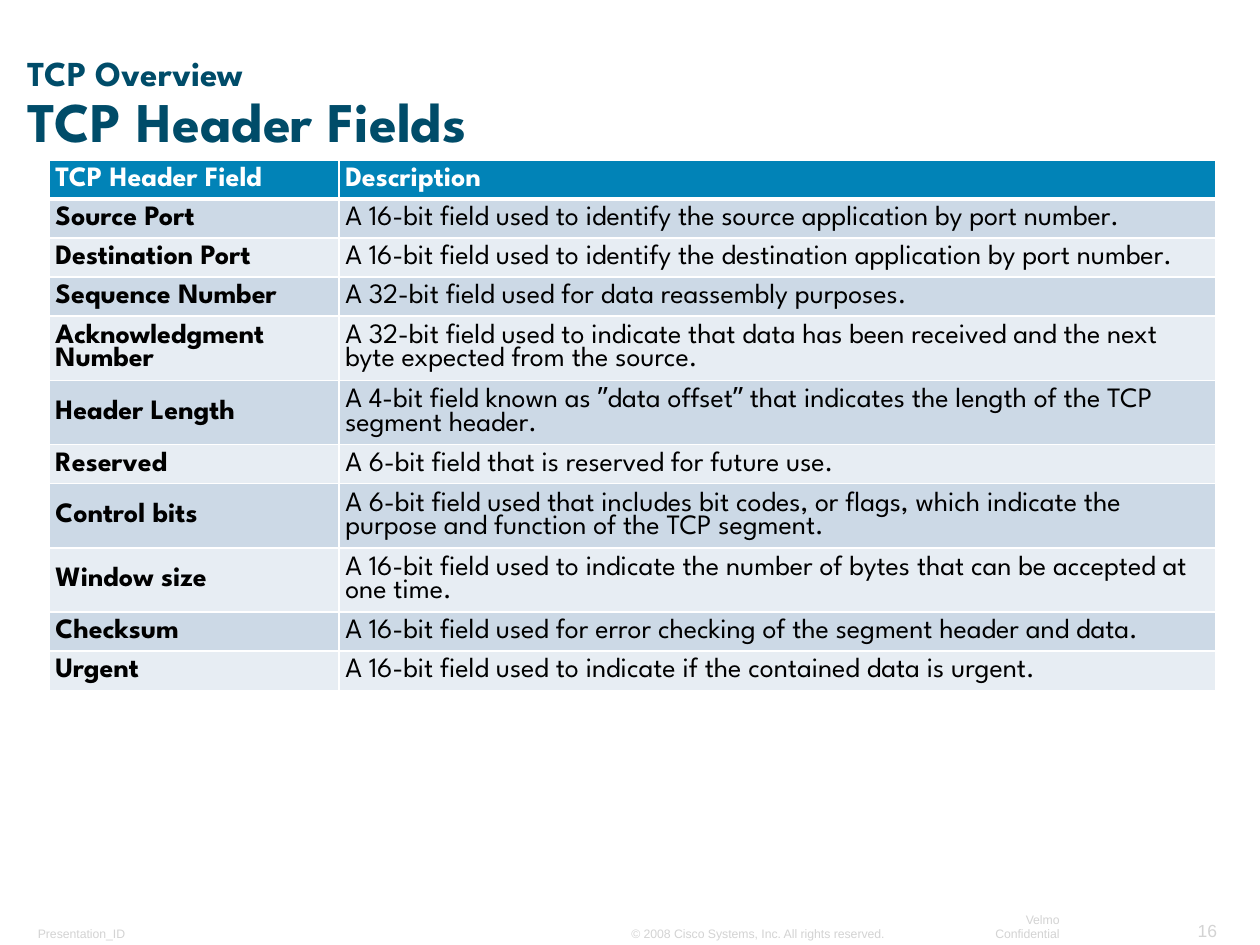
"""Build a slide with a title, a table of TCP header fields and a footer."""
from lxml.etree import SubElement
from pptx import Presentation
from pptx.dml.color import RGBColor
from pptx.enum.text import MSO_ANCHOR, MSO_AUTO_SIZE, PP_ALIGN
from pptx.oxml.ns import qn
from pptx.util import Inches, Pt

FONT = "League Spartan"
LEFT, RIGHT = PP_ALIGN.LEFT, PP_ALIGN.RIGHT


def paint(code):
    return RGBColor.from_string(code)


def write(para, text, size=16, color="000000", bold=False, font=FONT, align=LEFT, space=0.9):
    para.alignment = align
    para.line_spacing = space
    run = para.add_run()
    run.text = text
    run.font.name = font
    run.font.size = Pt(size)
    run.font.bold = bold
    run.font.color.rgb = paint(color)


deck = Presentation()
deck.slide_width, deck.slide_height = Inches(10), Inches(7.5)
unit = deck.slide_width // 100
slide = deck.slides.add_slide(deck.slide_layouts[5])

title = slide.shapes.title
title.left, title.top, title.width, title.height = [int(n * unit) for n in (1.3, 4.7, 91.3, 8)]
frame = title.text_frame
frame.word_wrap = True
frame.auto_size = MSO_AUTO_SIZE.NONE
frame.vertical_anchor = MSO_ANCHOR.BOTTOM
frame.margin_left = frame.margin_right = int(0.9 * unit)
frame.margin_top = frame.margin_bottom = int(0.4 * unit)
head = frame.paragraphs[0]
write(head, "TCP Overview", size=20, color="004C69", bold=True)
head.add_line_break()
write(head, "TCP Header Fields", size=32, color="004C69", bold=True)

rows = [
    ("TCP Header Field", "Description", 1),
    ("Source Port", "A 16-bit field used to identify the source application by port number.", 1),
    ("Destination Port", "A 16-bit field used to identify the destination application by port number.", 1),
    ("Sequence Number", "A 32-bit field used for data reassembly purposes.", 1),
    ("Acknowledgment Number", "A 32-bit field used to indicate that data has been received "
     "and the next byte expected from the source.", 2),
    ("Header Length", "A 4-bit field known as ʺdata offsetʺ that indicates the length "
     "of the TCP segment header.", 2),
    ("Reserved", "A 6-bit field that is reserved for future use.", 1),
    ("Control bits", "A 6-bit field used that includes bit codes, or flags, which indicate "
     "the purpose and function of the TCP segment.", 2),
    ("Window size", "A 16-bit field used to indicate the number of bytes that can be "
     "accepted at one time.", 2),
    ("Checksum", "A 16-bit field used for error checking of the segment header and data.", 1),
    ("Urgent", "A 16-bit field used to indicate if the contained data is urgent.", 1),
]
place = [int(n * unit) for n in (3.9, 12.7, 92.6, 42)]
table = slide.shapes.add_table(len(rows), 2, *place).table
table.horz_banding = False
for col, width in zip(table.columns, (23, 69.6)):
    col.width = int(width * unit)

for i, (name, note, lines) in enumerate(rows):
    table.rows[i].height = int((1.1 + 2 * lines) * unit)
    fill = "0183B7" if i == 0 else ("E7EDF3", "CCD9E6")[i % 2]
    for j, text in enumerate((name, note)):
        cell = table.cell(i, j)
        cell.vertical_anchor = MSO_ANCHOR.MIDDLE
        cell.margin_left = cell.margin_right = unit // 2
        cell.margin_top = cell.margin_bottom = unit // 2
        write(cell.text_frame.paragraphs[0], text, bold=i == 0 or j == 0,
              color="000000" if i else "FFFFFF")
        props = cell._tc.get_or_add_tcPr()
        for side in "LRTB":
            thick = 3 if (i, side) in ((0, "B"), (1, "T")) else 1
            line = SubElement(props, qn("a:ln" + side), w=str(Pt(thick)))
            SubElement(SubElement(line, qn("a:solidFill")), qn("a:srgbClr"), val="FFFFFF")
        cell.fill.solid()
        cell.fill.fore_color.rgb = paint(fill)

foot = [
    ("Presentation_ID", 2.1, 73, 10.5, 2.1, 7, LEFT, True),
    ("16", 94, 72.5, 3.5, 2.6, 10, RIGHT, False),
    ("© 2008 Cisco Systems, Inc. All rights reserved.", 49.2, 73, 22.1, 2.1, 7, LEFT, False),
    ("Velmo Confidential", 75.4, 73, 9.6, 2.1, 7, RIGHT, False),
]
for text, *place, size, align, wrap in foot:
    frame = slide.shapes.add_textbox(*[int(n * unit) for n in place]).text_frame
    frame.word_wrap = wrap
    frame.auto_size = MSO_AUTO_SIZE.SHAPE_TO_FIT_TEXT
    frame.vertical_anchor = MSO_ANCHOR.BOTTOM
    frame.margin_left = frame.margin_right = int(0.9 * unit)
    frame.margin_top = frame.margin_bottom = int(0.4 * unit)
    write(frame.paragraphs[0], text, size=size, color="D3D3D3", font="Arial", align=align, space=1.0)

deck.save("out.pptx")
